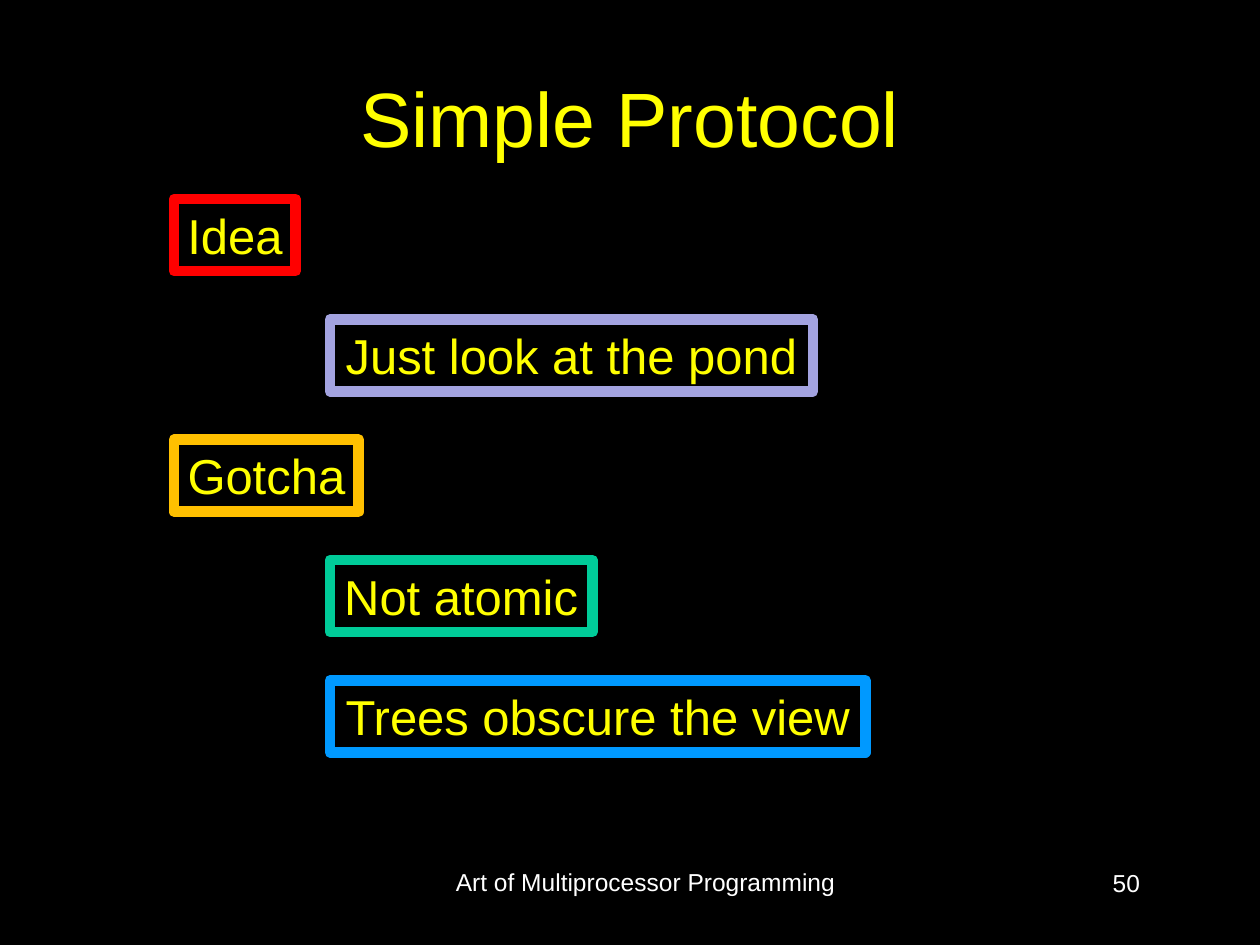
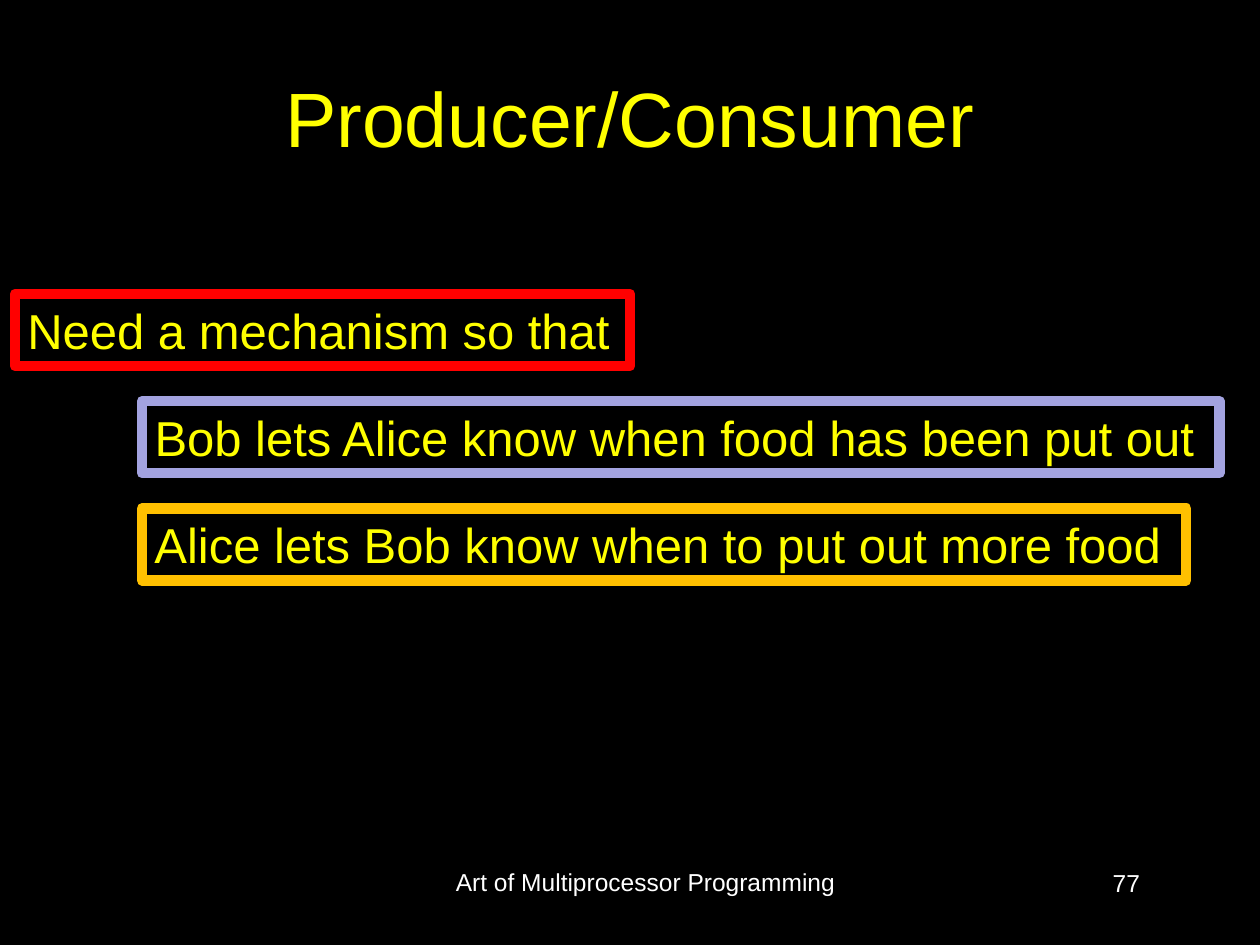
from pptx import Presentation
from pptx.dml.color import RGBColor
from pptx.enum.shapes import MSO_SHAPE
from pptx.enum.text import MSO_ANCHOR, MSO_AUTO_SIZE, PP_ALIGN
from pptx.util import Pt

BLACK = RGBColor(0x00, 0x00, 0x00)
WHITE = RGBColor(0xFF, 0xFF, 0xFF)
YELLOW = RGBColor(0xFF, 0xFF, 0x00)
RED = RGBColor(0xFF, 0x00, 0x00)
LILAC = RGBColor(0xA3, 0xA3, 0xE0)
AMBER = RGBColor(0xFF, 0xC0, 0x00)
GREEN = RGBColor(0x00, 0xCC, 0x99)
BLUE = RGBColor(0x00, 0x99, 0xFF)

FONT = "Arial"
FOOTER = "Art of Multiprocessor Programming"
BOX_HEIGHT = 41.2


def write(frame, text, size, color, align):
    frame.text = text
    para = frame.paragraphs[0]
    para.alignment = align
    para.font.name = FONT
    para.font.size = Pt(size)
    para.font.color.rgb = color


def add_label(slide, text, left, top, width, height, align):
    box = slide.shapes.add_textbox(Pt(left), Pt(top), Pt(width), Pt(height))
    box.text_frame.word_wrap = True
    write(box.text_frame, text, 14, WHITE, align)


def add_slide(prs, heading, number):
    """Add a slide with its title, footer and page number."""
    slide = prs.slides.add_slide(prs.slide_layouts[5])
    title = slide.shapes.title
    title.left, title.top, title.width, title.height = (
        Pt(36), Pt(21.6), Pt(648), Pt(90))
    title.text_frame.vertical_anchor = MSO_ANCHOR.MIDDLE
    write(title.text_frame, heading, 44, YELLOW, PP_ALIGN.CENTER)
    add_label(slide, FOOTER, 246, 492, 246, 37.5, PP_ALIGN.CENTER)
    add_label(slide, str(number), 508.5, 492.5, 150, 36, PP_ALIGN.RIGHT)
    return slide


def add_box(slide, text, left, top, width, color, align):
    box = slide.shapes.add_shape(
        MSO_SHAPE.RECTANGLE, Pt(left), Pt(top), Pt(width), Pt(BOX_HEIGHT))
    box.shadow.inherit = False
    box.fill.solid()
    box.fill.fore_color.rgb = BLACK
    box.line.color.rgb = color
    box.line.width = Pt(6)
    frame = box.text_frame
    frame.word_wrap = False
    frame.auto_size = MSO_AUTO_SIZE.SHAPE_TO_FIT_TEXT
    frame.vertical_anchor = MSO_ANCHOR.TOP
    write(frame, text, 28, YELLOW, align)


def add_outline(slide, rows, top, pitch, lefts, align):
    """Stack boxes at an even pitch; each row's level picks its left edge."""
    for index, (level, text, width, color) in enumerate(rows):
        add_box(slide, text, lefts[level], top + index * pitch,
                width, color, align)


def main():
    prs = Presentation()
    prs.slide_width, prs.slide_height = Pt(720), Pt(540)
    fill = prs.slide_master.background.fill
    fill.solid()
    fill.fore_color.rgb = BLACK

    simple = add_slide(prs, "Simple Protocol", 50)
    add_outline(simple, [
        (0, "Idea", 69.6, RED),
        (1, "Just look at the pond", 276, LILAC),
        (0, "Gotcha", 105.6, AMBER),
        (1, "Not atomic", 150, GREEN),
        (1, "Trees obscure the view", 306, BLUE),
    ], 113.75, 68.75, (99.4, 188.5), PP_ALIGN.CENTER)

    producer = add_slide(prs, "Producer/Consumer", 77)
    add_outline(producer, [
        (0, "Need a mechanism so that", 351.5, RED),
        (1, "Bob lets Alice know when food has been put out", 615.6, LILAC),
        (1, "Alice lets Bob know when to put out more food", 596.7, AMBER),
    ], 168, 61.25, (8.6, 81.2), PP_ALIGN.LEFT)

    prs.save("out.pptx")


if __name__ == "__main__":
    main()
